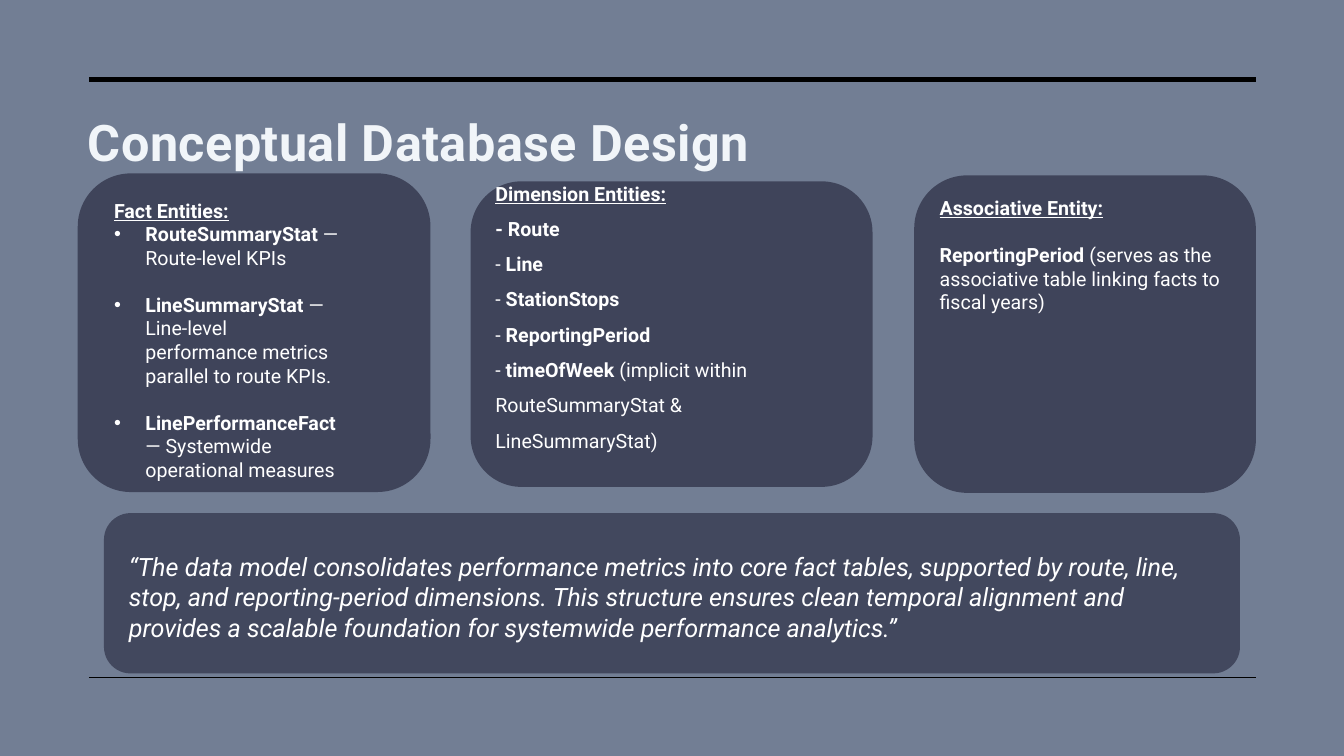
from lxml.etree import SubElement
from pptx import Presentation
from pptx.dml.color import RGBColor
from pptx.enum.shapes import MSO_CONNECTOR as Connector, MSO_SHAPE as Preset
from pptx.enum.text import MSO_ANCHOR as Anchor, MSO_AUTO_SIZE as AutoSize, PP_ALIGN as Align
from pptx.oxml.ns import qn
from pptx.util import Cm, Pt

FONT = "Roboto"
BACKGROUND, PANEL, RULE = "727E94", "1C1C32", "000000"
TITLE_COLOR, TEXT_COLOR = "F1F5F9", "FFFFFF"
BLANK_LINE = 16.8

# Each fact is a list of (text, bold) runs; "\n" is a line break.
FACTS = [
    [("RouteSummaryStat", True), (" — Route-level KPIs", False)],
    [("LineSummaryStat", True), (" — Line-level", False), ("\n", False),
     ("performance metrics parallel to route KPIs.", False)],
    [("LinePerformanceFact", True), (" — Systemwide operational measures", False)],
]
DIMENSIONS = [
    [("- Route", True)],
    [("- ", False), ("Line", True)],
    [("- ", False), ("StationStops", True)],
    [("- ", False), ("ReportingPeriod", True)],
    [("- ", False), ("timeOfWeek", True),
     (" (implicit within RouteSummaryStat & LineSummaryStat)", False)],
]
ASSOCIATIVE = [
    ("ReportingPeriod", True),
    (" (serves as the associative table linking facts to fiscal years)", False),
]
QUOTE = (
    "“The data model consolidates performance metrics into core fact tables, "
    "supported by route, line, stop, and reporting-period dimensions. This structure "
    "ensures clean temporal alignment and provides a scalable foundation for "
    "systemwide performance analytics.”"
)


def color(hex_code):
    return RGBColor.from_string(hex_code)


def place(item, left, top, width, height):
    item.left, item.top, item.width, item.height = map(Cm, (left, top, width, height))


def prepare_frame(item, anchor=Anchor.TOP):
    frame = item.text_frame
    frame.word_wrap = True
    frame.auto_size = AutoSize.NONE
    frame.vertical_anchor = anchor
    return frame


def add_run(paragraph, text, size=14, hex_code=TEXT_COLOR, bold=False,
            italic=False, underline=False):
    run = paragraph.add_run()
    run.text = text
    font = run.font
    font.name, font.size = FONT, Pt(size)
    font.bold, font.italic, font.underline = bold, italic, underline
    font.color.rgb = color(hex_code)
    return run


def add_heading(frame, text):
    heading = frame.paragraphs[0]
    heading.alignment = Align.LEFT
    add_run(heading, text, bold=True, underline=True)
    return heading


def add_entry(frame, runs, space_before=0, line_spacing=1.0):
    entry = frame.add_paragraph()
    entry.alignment = Align.LEFT
    entry.space_before = Pt(space_before)
    entry.line_spacing = line_spacing
    for text, bold in runs:
        if text == "\n":
            entry.add_line_break()
        else:
            add_run(entry, text, bold=bold)
    return entry


def set_bullet(paragraph, char=None, indent=0):
    """Hang the paragraph on a bullet, or clear the inherited one."""
    properties = paragraph._p.get_or_add_pPr()
    properties.set("marL", str(Cm(indent)))
    properties.set("indent", str(-Cm(indent)))
    if char:
        SubElement(properties, qn("a:buFont")).set("typeface", "Arial")
        SubElement(properties, qn("a:buChar")).set("char", char)
    else:
        SubElement(properties, qn("a:buNone"))


def add_rule(slide, y, weight):
    rule = slide.shapes.add_connector(
        Connector.STRAIGHT, Cm(2.24), Cm(y), Cm(31.65), Cm(y))
    rule.line.color.rgb = color(RULE)
    rule.line.width = Pt(weight)
    SubElement(rule._element.spPr, qn("a:effectLst"))


def add_panel(slide, left, top, width, height, opacity=59):
    panel = slide.shapes.add_shape(
        Preset.ROUNDED_RECTANGLE, Cm(left), Cm(top), Cm(width), Cm(height))
    panel.shadow.inherit = False
    panel.fill.solid()
    panel.fill.fore_color.rgb = color(PANEL)
    fill_color = panel._element.spPr.find(qn("a:solidFill")).find(qn("a:srgbClr"))
    SubElement(fill_color, qn("a:alpha")).set("val", str(opacity * 1000))
    panel.line.fill.background()
    return panel


def fill_title(title):
    place(title, 1.96, 2.54, 29.69, 3.63)
    frame = prepare_frame(title)
    frame.margin_top = Cm(0.25)
    heading = frame.paragraphs[0]
    heading.alignment = Align.LEFT
    run = add_run(heading, "Conceptual Database Design", 36, TITLE_COLOR, bold=True)
    run._r.get_or_add_rPr().set("spc", "30")


def fill_facts(facts):
    place(facts, 2.62, 4.88, 6.25, 8.03)
    frame = prepare_frame(facts)
    heading = add_heading(frame, "Fact Entities:")
    heading.space_before = Pt(0)
    set_bullet(heading)
    for index, fact in enumerate(FACTS):
        entry = add_entry(frame, fact, BLANK_LINE if index else 0)
        set_bullet(entry, "•", 0.79)


def add_dimensions(slide):
    panel = add_panel(slide, 11.86, 4.57, 10.13, 7.7)
    frame = prepare_frame(panel, Anchor.MIDDLE)
    frame.margin_right = Cm(0.6)
    frame.margin_bottom = Cm(1)
    add_heading(frame, "Dimension Entities:")
    for dimension in DIMENSIONS:
        add_entry(frame, dimension, line_spacing=1.5)


def add_associative(slide):
    frame = prepare_frame(add_panel(slide, 23.04, 4.42, 8.61, 8))
    add_heading(frame, "Associative Entity:")
    add_entry(frame, ASSOCIATIVE, BLANK_LINE)


def add_quote(slide):
    add_panel(slide, 2.62, 12.93, 28.63, 4.04, opacity=55)
    quote = slide.shapes.add_textbox(Cm(3), Cm(13.77), Cm(27.86), Cm(2.57))
    add_run(prepare_frame(quote).paragraphs[0], QUOTE, 18, italic=True)


def main():
    deck = Presentation()
    deck.slide_width, deck.slide_height = Cm(33.87), Cm(19.05)
    slide = deck.slides.add_slide(deck.slide_layouts[1])
    slide.background.fill.solid()
    slide.background.fill.fore_color.rgb = color(BACKGROUND)

    add_rule(slide, 2.01, 3.5)
    add_rule(slide, 17.07, 1)
    fill_title(slide.shapes.title)

    add_panel(slide, 1.96, 4.37, 8.89, 8.03)
    facts = slide.placeholders[1]
    fill_facts(facts)
    slide.shapes._spTree.append(facts._element)  # bring in front of its panel

    add_dimensions(slide)
    add_associative(slide)
    add_quote(slide)
    deck.save("out.pptx")


if __name__ == "__main__":
    main()
